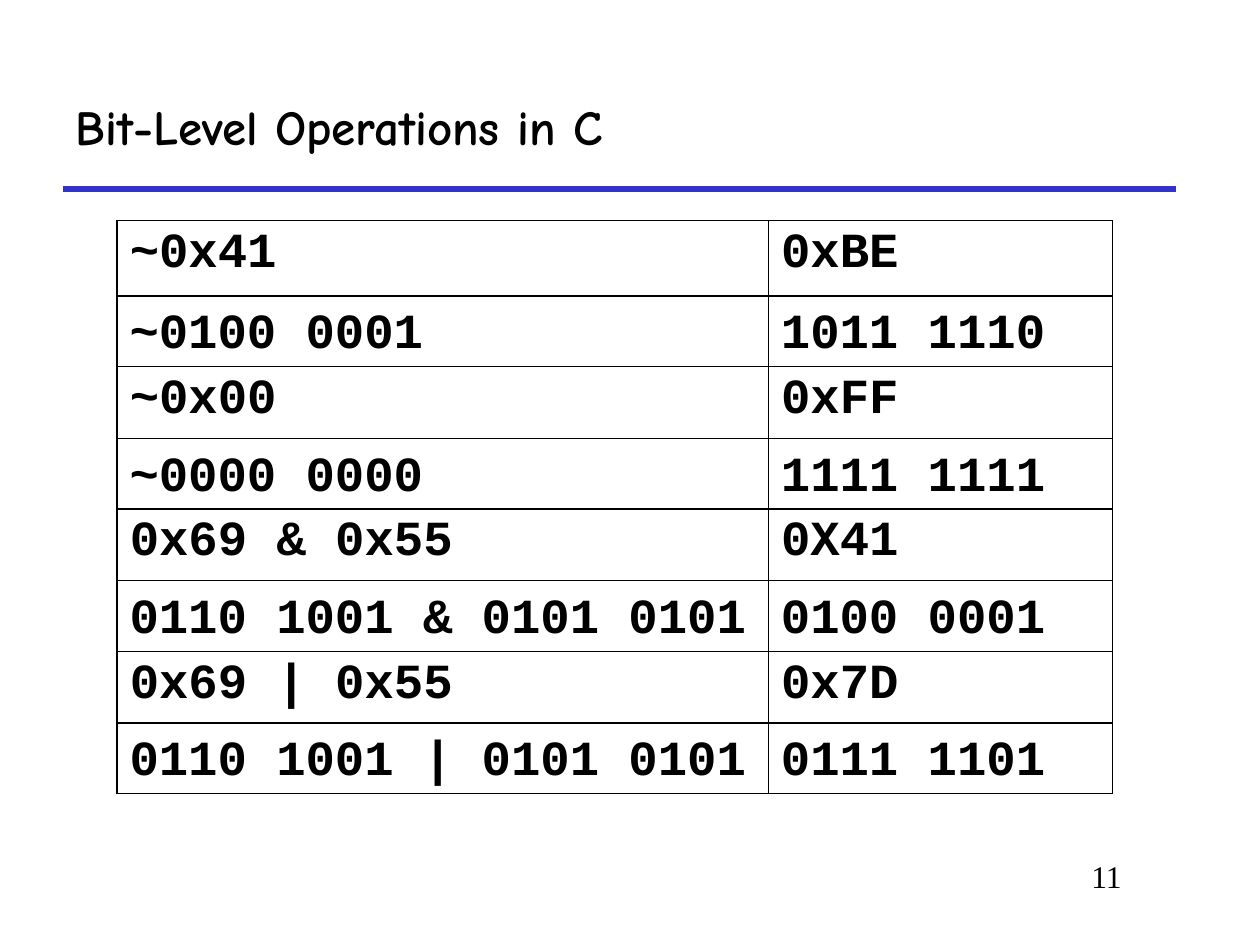
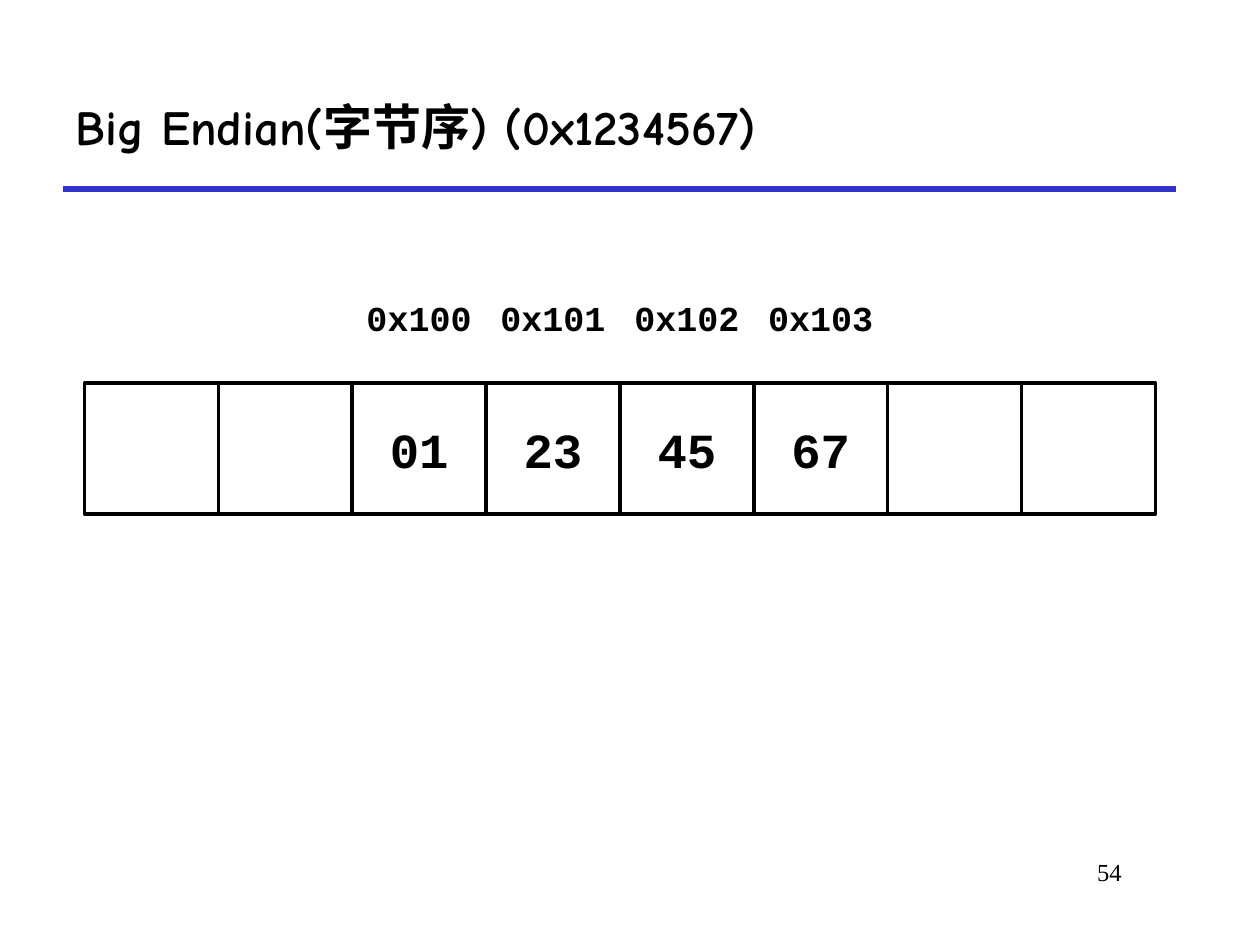
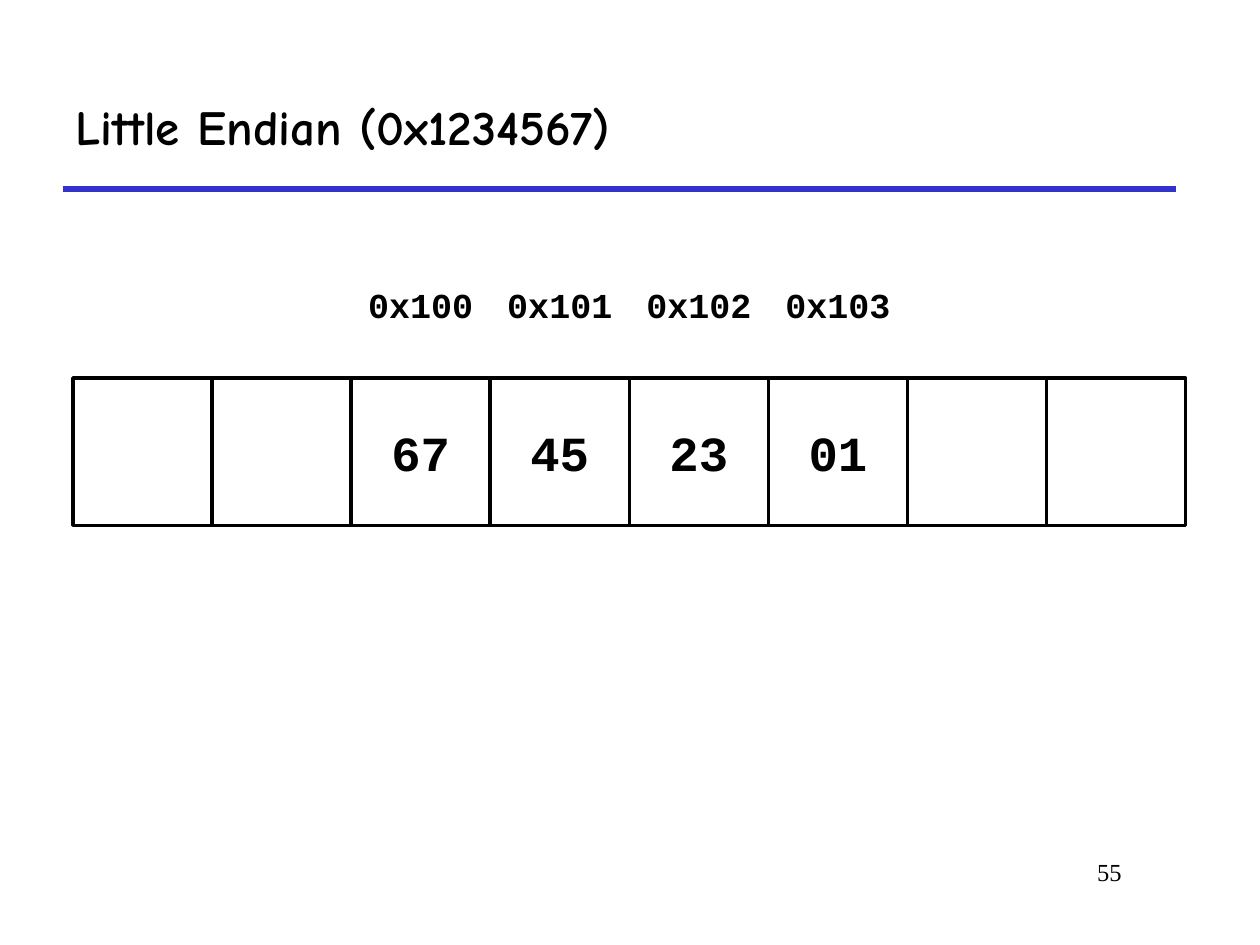
import dataclasses

import lxml.etree
import pptx
import pptx.dml.color
import pptx.enum.shapes
import pptx.enum.text
import pptx.oxml.ns
import pptx.util

Inches = pptx.util.Inches
Pt = pptx.util.Pt
qn = pptx.oxml.ns.qn
Align = pptx.enum.text.PP_ALIGN
Anchor = pptx.enum.text.MSO_ANCHOR


@dataclasses.dataclass(frozen=True)
class Theme:
    ink: str = "000000"
    paper: str = "FFFFFF"
    rule: str = "3333CC"
    title_font: str = "Comic Neue"
    code_font: str = "Courier New"
    number_font: str = "Times New Roman"
    title_size: int = 28
    code_size: int = 28
    address_size: int = 20
    rule_width: int = 3
    box_line: int = 2
    table_line: int = 1


THEME = Theme()

OPERATIONS = [
    ("~0x41", "0xBE"),
    ("~0100 0001", "1011 1110"),
    ("~0x00", "0xFF"),
    ("~0000 0000", "1111 1111"),
    ("0x69 & 0x55", "0X41"),
    ("0110 1001 & 0101 0101", "0100 0001"),
    ("0x69 | 0x55", "0x7D"),
    ("0110 1001 | 0101 0101", "0111 1101"),
]
ADDRESSES = ["0x100", "0x101", "0x102", "0x103"]
BIG_ENDIAN = ["01", "23", "45", "67"]
BYTE_COUNT = 8
FIRST_BYTE = 2


def color(value):
    return pptx.dml.color.RGBColor.from_string(value)


def write(frame, text, font, size, bold=True, align=Align.LEFT):
    paragraph = frame.paragraphs[0]
    paragraph.alignment = align
    run = paragraph.add_run()
    run.text = text
    run.font.name = font
    run.font.size = Pt(size)
    run.font.bold = bold
    run.font.color.rgb = color(THEME.ink)


def add_text(slide, box, text, font, size, anchor=Anchor.TOP, **style):
    frame = slide.shapes.add_textbox(*map(Inches, box)).text_frame
    frame.word_wrap = True
    frame.vertical_anchor = anchor
    write(frame, text, font, size, **style)


def add_base_slide(presentation, title, number, number_size):
    slide = presentation.slides.add_slide(presentation.slide_layouts[6])
    left, top, width, height = 0.5, 0.5, 8.83, 1
    bottom = top + height
    line = slide.shapes.add_connector(
        pptx.enum.shapes.MSO_CONNECTOR.STRAIGHT,
        Inches(left), Inches(bottom), Inches(left + width), Inches(bottom))
    line.line.color.rgb = color(THEME.rule)
    line.line.width = Pt(THEME.rule_width)
    lxml.etree.SubElement(line._element.spPr, qn("a:effectLst"))
    add_text(slide, (7.58, 6.75, 1.42, 0.5), number, THEME.number_font,
             number_size, bold=False, align=Align.RIGHT)
    add_text(slide, (left, top, width, height), title, THEME.title_font,
             THEME.title_size, anchor=Anchor.MIDDLE)
    return slide


def style_cell(cell):
    properties = cell._tc.get_or_add_tcPr()
    for side in ("a:lnL", "a:lnR", "a:lnT", "a:lnB"):
        border = lxml.etree.SubElement(properties, qn(side), w=str(Pt(THEME.table_line)))
        fill = lxml.etree.SubElement(border, qn("a:solidFill"))
        lxml.etree.SubElement(fill, qn("a:srgbClr"), val=THEME.ink)
    cell.fill.background()


def add_operations(slide, box):
    left, top, width, height = box
    column_widths = [5.17, width - 5.17]
    row_heights = [0.6] + [0.56, 0.57] * 3 + [0.56]
    table = slide.shapes.add_table(
        len(row_heights), len(column_widths), *map(Inches, box)).table
    table.first_row = table.horz_banding = False
    for column, column_width in zip(table.columns, column_widths):
        column.width = Inches(column_width)
    for row_index, (row_height, texts) in enumerate(zip(row_heights, OPERATIONS)):
        table.rows[row_index].height = Inches(row_height)
        row_top = top + sum(row_heights[:row_index])
        for column_index, text in enumerate(texts):
            cell = table.cell(row_index, column_index)
            style_cell(cell)
            if row_index % 2 == 0:
                write(cell.text_frame, text, THEME.code_font, THEME.code_size)
                continue
            text_left = left + sum(column_widths[:column_index])
            text_width = 5.33 if len(text) > 10 else 2.67
            add_text(slide, (text_left, row_top - 0.02, text_width, 0.57),
                     text, THEME.code_font, THEME.code_size)


def add_box(group, box, text, size, outlined):
    shape = group.shapes.add_shape(
        pptx.enum.shapes.MSO_SHAPE.RECTANGLE, *map(Inches, box))
    shape.shadow.inherit = False
    shape.fill.solid()
    shape.fill.fore_color.rgb = color(THEME.paper)
    if outlined:
        shape.line.color.rgb = color(THEME.ink)
        shape.line.width = Pt(THEME.box_line)
    else:
        shape.line.fill.background()
    if text:
        shape.text_frame.word_wrap = False
        shape.text_frame.vertical_anchor = Anchor.MIDDLE
        write(shape.text_frame, text, THEME.code_font, size, align=Align.CENTER)


def add_memory(slide, box, values):
    left, top, width, height = box
    box_width, box_height = width / BYTE_COUNT, height / 2
    group = slide.shapes.add_group_shape()
    for index, address in enumerate(ADDRESSES, FIRST_BYTE):
        add_box(group, (left + index * box_width, top, box_width, box_height),
                address, THEME.address_size, outlined=False)
    stored = dict(enumerate(values, FIRST_BYTE))
    for index in range(BYTE_COUNT):
        add_box(group,
                (left + index * box_width, top + box_height, box_width, box_height),
                stored.get(index), THEME.code_size, outlined=True)


def main():
    presentation = pptx.Presentation()
    presentation.slide_width = Inches(10)
    presentation.slide_height = Inches(7.5)

    slide = add_base_slide(presentation, "Bit-Level Operations in C", "11", 18)
    add_operations(slide, (0.93, 1.75, 7.9, 4.55))

    slide = add_base_slide(presentation, "Big Endian(字节序) (0x1234567)", "54", 14)
    add_memory(slide, (0.67, 2, 8.5, 2.08), BIG_ENDIAN)

    slide = add_base_slide(presentation, "Little Endian (0x1234567)", "55", 14)
    add_memory(slide, (0.58, 1.83, 8.83, 2.34), BIG_ENDIAN[::-1])

    presentation.save("out.pptx")


if __name__ == "__main__":
    main()
